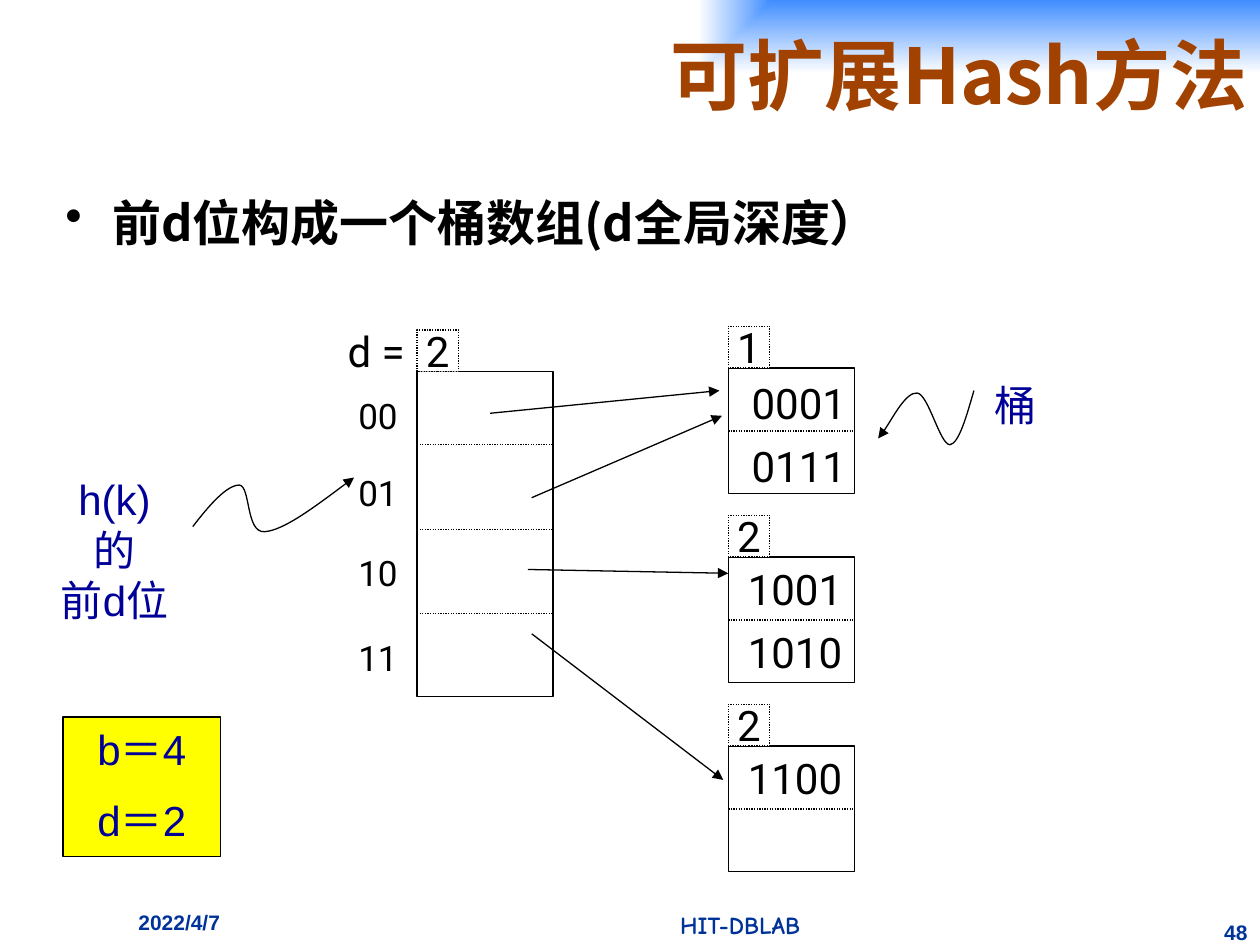
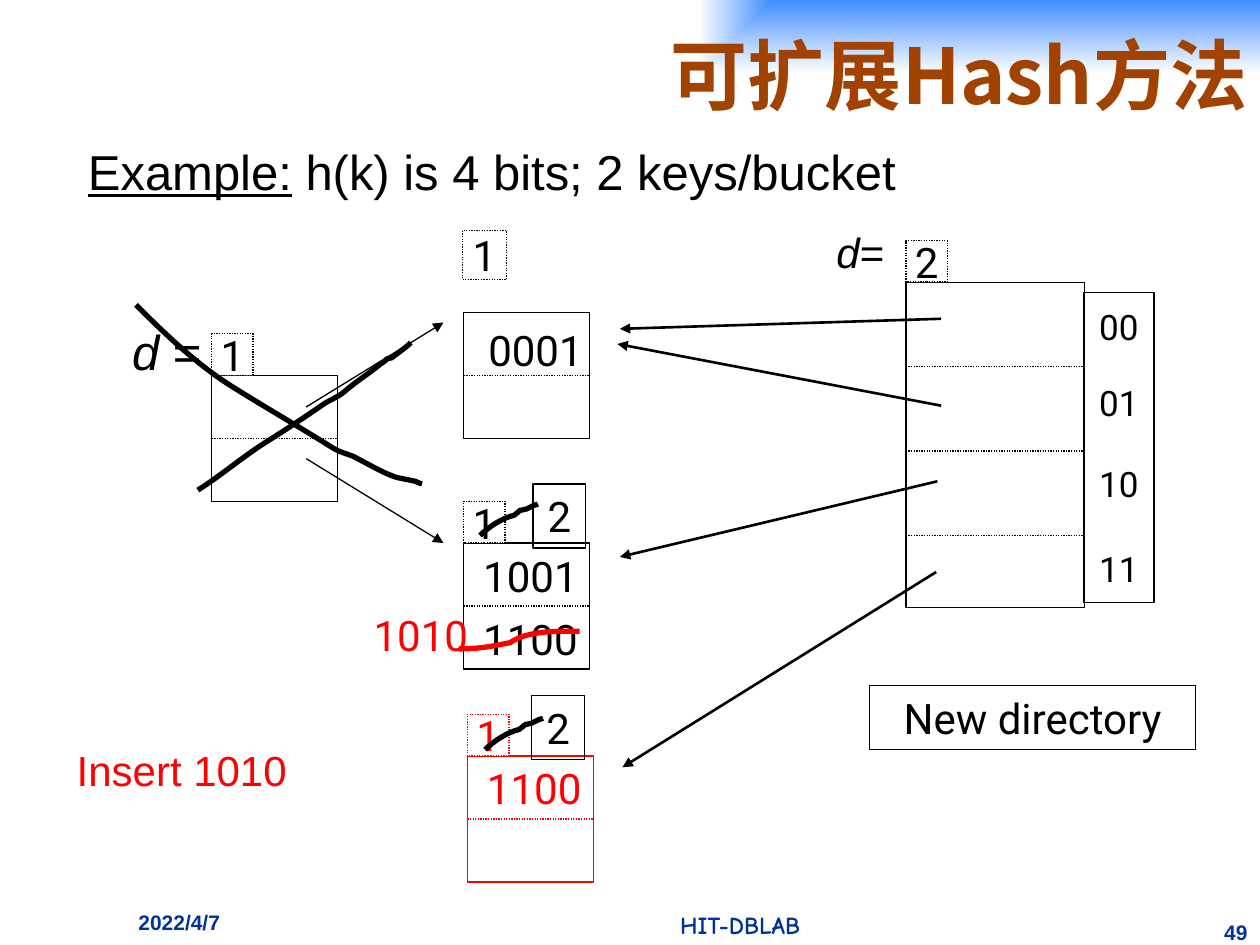
from lxml import etree
from pptx import Presentation
from pptx.dml.color import RGBColor
from pptx.enum.dml import MSO_LINE
from pptx.enum.shapes import MSO_CONNECTOR, MSO_SHAPE
from pptx.enum.text import MSO_ANCHOR, MSO_AUTO_SIZE, PP_ALIGN
from pptx.oxml.ns import qn
from pptx.util import Cm, Pt

BLACK = RGBColor(0x00, 0x00, 0x00)
WHITE = RGBColor(0xFF, 0xFF, 0xFF)
RED = RGBColor(0xFF, 0x00, 0x00)
YELLOW = RGBColor(0xFF, 0xFF, 0x00)
NAVY = RGBColor(0x00, 0x00, 0x99)
FOOTER_BLUE = RGBColor(0x00, 0x33, 0x99)
BAND_BLUE = RGBColor(0x3F, 0x8D, 0xFF)
TITLE_BROWN = RGBColor(0xA2, 0x42, 0x00)

LEFT, CENTER, RIGHT = PP_ALIGN.LEFT, PP_ALIGN.CENTER, PP_ALIGN.RIGHT
TOP, MIDDLE = MSO_ANCHOR.TOP, MSO_ANCHOR.MIDDLE
RECTANGLE, STRAIGHT = MSO_SHAPE.RECTANGLE, MSO_CONNECTOR.STRAIGHT
DOTTED = MSO_LINE.ROUND_DOT
FIT_SHAPE, NO_FIT = MSO_AUTO_SIZE.SHAPE_TO_FIT_TEXT, MSO_AUTO_SIZE.NONE

DIAGRAM = {"name": "Roboto", "size": Pt(24), "color": BLACK}
DIAGRAM_RED = {**DIAGRAM, "color": RED}
LABEL = {**DIAGRAM, "size": Pt(20)}
NOTE = {"name": "Arial", "size": Pt(24), "color": NAVY}
PLAIN = {**NOTE, "color": BLACK}
HEADING = {**PLAIN, "size": Pt(28)}
BODY = {**HEADING, "name": "Noto Sans CJK JP", "bold": True}
TITLE = {"name": "Noto Sans CJK SC", "size": Pt(44), "color": TITLE_BROWN, "bold": True}
FOOTER = {"name": "Arial", "size": Pt(12), "color": FOOTER_BLUE, "bold": True}
LAB = {**FOOTER, "name": "Comic Neue", "size": Pt(14)}

CELL = 0.5    # height of one key in a bucket
TAG = 0.33    # side of a depth tag
ROW = 0.67    # height of one directory entry


def inches(*values):
    """Turn layout units (inches) into lengths."""
    return [Cm(value * 2.54) for value in values]


# --- Text -------------------------------------------------------------------

def style_span(span, style):
    for key, value in style.items():
        if key == "color":
            span.font.color.rgb = value
        else:
            setattr(span.font, key, value)
    etree.SubElement(span.font._element, qn("a:ea"), typeface=style["name"])


def write(box, paragraphs, style, align=CENTER, anchor=MIDDLE, wrap=False,
          fit=False, gap=0, spacings=(), bullet=False):
    """Fill a box; each paragraph is a string or a list of (text, changes)."""
    frame = box.text_frame
    frame.word_wrap = wrap
    frame.auto_size = FIT_SHAPE if fit else NO_FIT
    frame.vertical_anchor = anchor
    for index, content in enumerate(paragraphs):
        para = frame.add_paragraph() if index else frame.paragraphs[0]
        if bullet:
            properties = para._p.get_or_add_pPr()
            properties.set("marL", str(Cm(0.95)))
            properties.set("indent", str(-Cm(0.95)))
            etree.SubElement(properties, qn("a:buChar"), char="•")
        para.alignment = align
        para.space_before = Pt(gap if index else 0)
        if spacings:
            para.line_spacing = spacings[index]
        spans = [(content, {})] if isinstance(content, str) else content
        for words, changes in spans:
            span = para.add_run()
            span.text = words
            style_span(span, {**style, **changes})


def text(page, at, paragraphs, style, **options):
    box = page.shapes.add_textbox(*inches(*at))
    write(box, paragraphs, style, **options)


# --- Shapes and lines -------------------------------------------------------

def set_line(shape, color=BLACK, width=0.75, dash=None, arrow=False):
    shape.line.color.rgb = color
    shape.line.width = Pt(width)
    if dash:
        shape.line.dash_style = dash
    if arrow:
        outline = shape.element.spPr.find(qn("a:ln"))
        etree.SubElement(outline, qn("a:tailEnd"), type="triangle")


def rectangle(page, at, fill=WHITE, **line):
    box = page.shapes.add_shape(RECTANGLE, *inches(*at))
    box.shadow.inherit = False
    if fill is None:
        box.fill.background()
    else:
        box.fill.solid()
        box.fill.fore_color.rgb = fill
    set_line(box, **line)
    return box


def straight(page, start, end, **line):
    connector = page.shapes.add_connector(STRAIGHT, *inches(*start, *end))
    set_line(connector, **line)
    etree.SubElement(connector.element.spPr, qn("a:effectLst"))


def arrows(page, ends, width=0.75):
    for start, end in ends:
        straight(page, start, end, width=width, arrow=True)


def curve(page, points, shift=(0, 0), **line):
    """Draw a Bézier curve: a start, then three points for each segment."""
    moved = [inches(x + shift[0], y + shift[1]) for x, y in points]
    builder = page.shapes.build_freeform(*moved[0])
    builder.add_line_segments(moved[1:], close=False)
    shape = builder.convert_to_shape()
    steps = list(shape.element.iter(qn("a:lnTo")))
    for first in range(0, len(steps), 3):
        segment = etree.Element(qn("a:cubicBezTo"))
        steps[first].addprevious(segment)
        for step in steps[first:first + 3]:
            segment.append(step[0])
            step.getparent().remove(step)
    shape.fill.background()
    shape.shadow.inherit = False
    set_line(shape, **line)


# --- Hash table parts -------------------------------------------------------

def depth_tag(page, left, top, depth, color=BLACK, size=(TAG, TAG)):
    box = rectangle(page, (left, top, *size), color=color, dash=DOTTED)
    write(box, [depth], {**DIAGRAM, "color": color})


def ruled_box(page, at, dividers, color=BLACK):
    left, top, width, _ = at
    rectangle(page, at, color=color)
    for offset in dividers:
        y = top + offset
        straight(page, (left, y), (left + width, y), color=color, dash=DOTTED)


def key(page, left, top, value, style=DIAGRAM):
    text(page, (left, top, 1.06, 0.51), [value], style, fit=True)


def bucket(page, left, top, depth, keys, color=BLACK, shift=(0, 0)):
    ruled_box(page, (left, top, 1, 2 * CELL), [CELL], color)
    if depth:
        depth_tag(page, left, top - TAG, depth, color)
    for index, value in enumerate(keys):
        key(page, left + shift[0], top + shift[1] + index * CELL, value,
            {**DIAGRAM, "color": color})


def directory(page, left, top, width, first_row):
    dividers = [first_row + index * ROW for index in range(3)]
    ruled_box(page, (left, top, width, 2.58), dividers)
    depth_tag(page, left, top - TAG, "2")


def write_prefixes(box):
    write(box, ["00", "01", "10", "11"], LABEL, fit=True, gap=10,
          spacings=(1, 1.4, 1.5, 1.6))


def boxed_text(page, at, words):
    write(rectangle(page, at, fill=None), [words], DIAGRAM, fit=True)


# --- Shared frame of the slides ---------------------------------------------

def title_band(page):
    band = page.shapes.add_shape(RECTANGLE, *inches(1.08, 0, 8.92, 1.17))
    band.shadow.inherit = False
    band.line.fill.background()
    band.fill.gradient()
    for stop, color in zip(band.fill.gradient_stops, (BAND_BLUE, WHITE)):
        stop.color.rgb = color
    gradient = band.element.spPr.find(qn("a:gradFill"))
    gradient.remove(gradient.find(qn("a:lin")))
    spread = etree.SubElement(gradient, qn("a:path"), path="rect")
    etree.SubElement(spread, qn("a:fillToRect"), l="100000", b="100000")
    write(band, ["可扩展Hash方法"], TITLE, align=RIGHT, wrap=True)


def new_page(deck, number):
    page = deck.slides.add_slide(deck.slide_layouts[6])
    title_band(page)
    footers = [
        ((1, 7.17, 1.75, 0.33), "2022/4/7", FOOTER, LEFT),
        ((3.5, 7.17, 4.75, 0.33), "HIT-DBLAB", LAB, CENTER),
        ((9.58, 7.25, 0.42, 0.25), number, FOOTER, RIGHT),
    ]
    for at, words, style, align in footers:
        text(page, at, [words], style, align=align, anchor=TOP, wrap=True)
    return page


# --- Slides -----------------------------------------------------------------

def bucket_array_page(deck):
    page = new_page(deck, "48")
    text(page, (0.42, 1.48, 9.43, 0.59), ["前d位构成一个桶数组(d全局深度）"], BODY,
         align=LEFT, anchor=TOP, wrap=True, bullet=True)

    # Buckets
    bucket(page, 5.78, 2.92, "1", ["0001", "0111"], shift=(0.03, 0.02))
    bucket(page, 5.78, 4.42, "2", ["1001", "1010"])
    bucket(page, 5.78, 5.92, "2", ["1100"])

    # Directory
    write_prefixes(page.shapes.add_textbox(*inches(2.72, 3.03, 0.56, 2.46)))
    directory(page, 3.31, 2.95, 1.08, first_row=0.58)
    text(page, (2.59, 2.53, 0.79, 0.51), ["d ="], DIAGRAM, fit=True)
    arrows(page, [((3.89, 3.28), (5.71, 3.1)), ((4.22, 3.95), (5.73, 3.3)),
                  ((4.19, 4.52), (5.78, 4.55)), ((4.22, 5.03), (5.74, 6.19))])

    # Notes
    settings = rectangle(page, (0.5, 5.69, 1.25, 1.11), fill=YELLOW)
    write(settings, ["b＝4", "d＝2"], NOTE, anchor=TOP, wrap=True, gap=12)
    text(page, (0.36, 3.71, 1.1, 1.7), ["h(k)的", "前d位"], NOTE,
         anchor=TOP, wrap=True)
    curve(page, [(1.53, 4.18), (1.66, 4.01), (1.8, 3.85), (1.9, 3.85),
                 (1.99, 3.86), (1.95, 4.23), (2.1, 4.22),
                 (2.25, 4.21), (2.53, 4), (2.81, 3.79)], arrow=True)
    text(page, (7.79, 2.96, 0.54, 0.51), ["桶"], NOTE, anchor=TOP, fit=True)
    curve(page, [(7.73, 3.1), (7.67, 3.31), (7.61, 3.52), (7.54, 3.53),
                 (7.46, 3.53), (7.37, 3.13), (7.28, 3.12),
                 (7.19, 3.11), (7.03, 3.42), (6.97, 3.48)], arrow=True)


def insert_page(deck):
    page = new_page(deck, "49")
    text(page, (0.6, 0.76, 9.1, 1.25),
         [[("Example:", {"underline": True}),
           (" h(k) is 4 bits; 2 keys/bucket", {})]],
         HEADING, align=LEFT, wrap=True, spacings=[0.9])

    # Old directory and buckets
    text(page, (0.95, 2.5, 0.86, 0.62), [[("d", {"italic": True}), (" =", {})]],
         HEADING, align=LEFT, anchor=TOP, wrap=True)
    bucket(page, 1.68, 2.98, "1", [])
    bucket(page, 3.68, 2.48, None, ["0001"], shift=(0.04, 0.04))
    depth_tag(page, 3.67, 1.83, "1", size=(0.35, 0.39))
    bucket(page, 3.68, 4.31, "1", ["1001", "1100"])
    arrows(page, [((2.43, 3.23), (3.52, 2.56)), ((2.43, 3.64), (3.52, 4.31))])

    # Inserted key and split bucket
    text(page, (0.51, 5.82, 2.51, 0.62), ["Insert 1010"], {**PLAIN, "color": RED},
         align=LEFT, wrap=True, spacings=[0.9])
    bucket(page, 3.71, 6, "1", ["1100"], color=RED)
    curve(page, [(3.64, 5.15), (3.81, 5.15), (3.9, 5.13), (4.05, 5.1),
                 (4.19, 5), (4.45, 5.01), (4.6, 5.01)], color=RED, width=3)
    key(page, 2.81, 4.78, "1010", DIAGRAM_RED)

    # New directory
    boxed_text(page, (6.9, 5.44, 2.59, 0.51), "New directory")
    directory(page, 7.19, 2.24, 1.42, first_row=ROW)
    write_prefixes(rectangle(page, (8.6, 2.32, 0.56, 2.46), fill=None))
    arrows(page, [((7.47, 2.53), (4.92, 2.61)), ((7.47, 3.22), (4.9, 2.73)),
                  ((7.44, 3.82), (4.92, 4.42)), ((7.43, 4.54), (4.94, 6.09))],
           width=1.5)
    text(page, (6.54, 1.75, 0.86, 0.62), [[("d", {"italic": True}), ("=", {})]],
         PLAIN, align=LEFT, anchor=TOP, wrap=True)

    # Old depths struck out, new depths beside them
    strike = [(3.81, 4.25), (3.88, 4.18), (3.99, 4.11), (4.08, 4.09),
              (4.16, 4.03), (4.1, 4.06), (4.18, 4.04),
              (4.2, 4.03), (4.22, 4.02), (4.24, 4.01),
              (4.25, 4.01), (4.27, 4), (4.27, 4)]
    for shift in ((0, 0), (0.04, 1.7)):
        curve(page, strike, shift, width=3)
    for left, top in ((4.22, 5.52), (4.23, 3.84)):
        boxed_text(page, (left, top, 0.42, 0.51), "2")

    # Cross over the old directory
    curve(page, [(1.57, 3.89), (1.76, 3.77), (1.92, 3.63), (2.11, 3.51),
                 (2.27, 3.41), (2.42, 3.31), (2.58, 3.2),
                 (2.63, 3.17), (2.68, 3.15), (2.72, 3.12),
                 (2.81, 3.04), (2.92, 2.97), (3.02, 2.89),
                 (3.11, 2.83), (3.03, 2.86), (3.11, 2.84),
                 (3.16, 2.8), (3.22, 2.76), (3.26, 2.72)], width=3)
    curve(page, [(1.08, 2.42), (1.31, 2.65), (1.56, 2.89), (1.83, 3.06),
                 (2.1, 3.23), (2.38, 3.39), (2.65, 3.56),
                 (2.7, 3.59), (2.75, 3.6), (2.8, 3.62),
                 (2.92, 3.68), (3.03, 3.75), (3.15, 3.79),
                 (3.2, 3.8), (3.25, 3.81), (3.3, 3.82),
                 (3.31, 3.83), (3.35, 3.84), (3.35, 3.84)], width=3)


def main():
    deck = Presentation()
    deck.slide_width, deck.slide_height = Cm(25.4), Cm(19.05)
    bucket_array_page(deck)
    insert_page(deck)
    deck.save("out.pptx")


if __name__ == "__main__":
    main()
